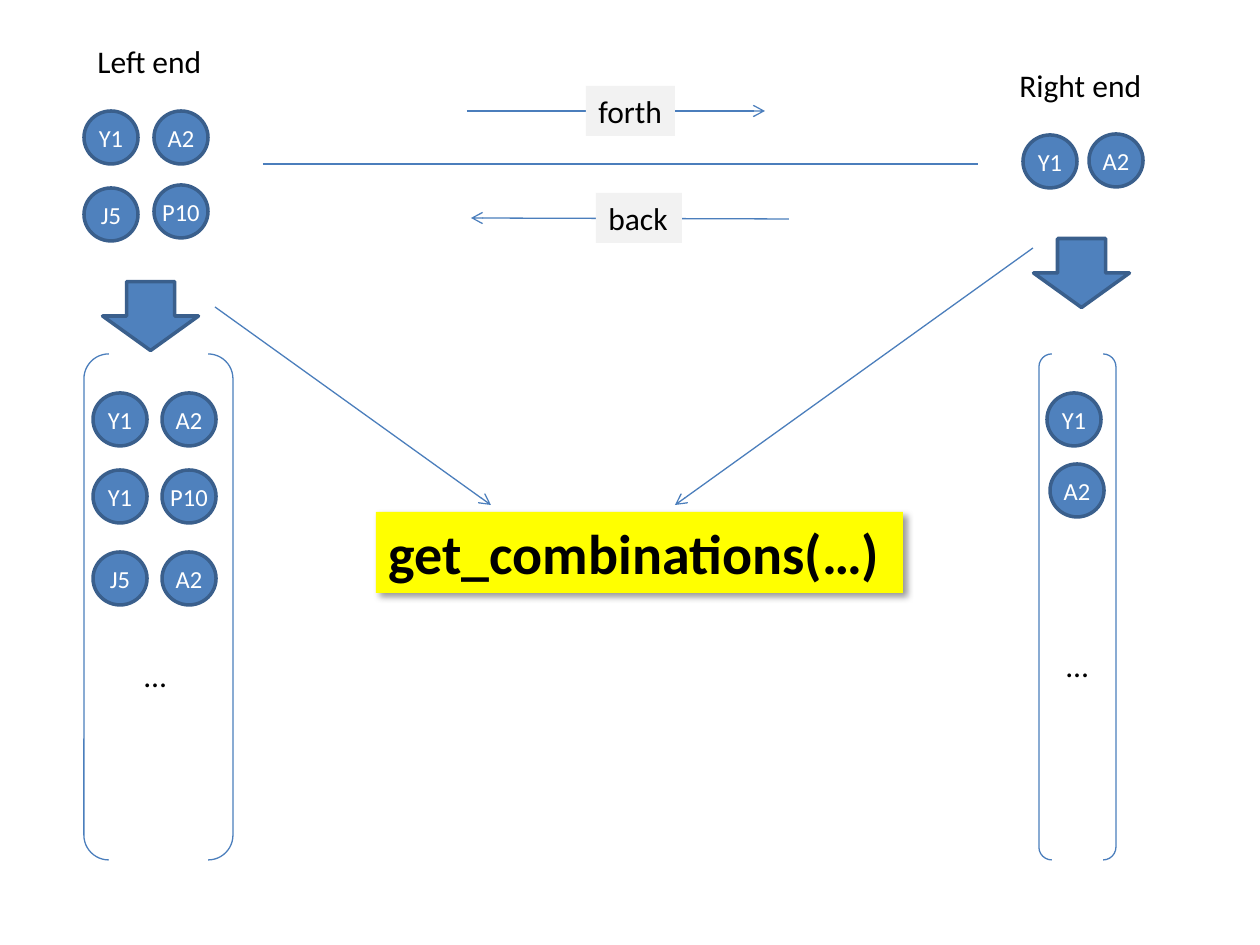
import pptx
import pptx.util
import pptx.dml.color
import pptx.enum.shapes
import pptx.enum.text
import pptx.oxml
import pptx.oxml.ns

SHAPE = pptx.enum.shapes.MSO_SHAPE
ALIGN = pptx.enum.text.PP_ALIGN
ANCHOR = pptx.enum.text.MSO_ANCHOR
FIT = pptx.enum.text.MSO_AUTO_SIZE

THEME = {
    "font": "Calibri",
    "token": "4F81BD", "edge": "3A5F8C", "line": "4B7EBC",
    "label": "F2F2F2", "call": "FFFF00", "ink": "000000", "light": "FFFFFF",
    "token_size": 14, "text_size": 18, "call_size": 32,
    "edge_width": 2, "line_width": 0.75,
}
PX_PER_INCH = 126
TOKEN_SIZE = (54, 53)
ARROW_SIZE = (69, 96)
BRACKET_TOP, BRACKET_HEIGHT = 354, 506

LEFT_END = [("Y1", 84, 111), ("J5", 84, 188), ("A2", 154, 111), ("P10", 154, 185)]
RIGHT_END = [("Y1", 1023, 135), ("A2", 1089, 134)]
RIGHT_LIST = [("Y1", 1047, 393), ("A2", 1050, 464)]
LEFT_PAIRS = [(393, ("Y1", "A2")), (470, ("Y1", "P10")), (552, ("J5", "A2"))]
LEFT_PAIR_COLUMNS = (93, 162)

DIVIDER = (263, 164, 978, 164)
TRAVEL = [(467, 111, 765, 111), (789, 219, 471, 218)]
CALL_ARROWS = [(215, 307, 491, 505), (1033, 248, 675, 505)]
LABELS = [("forth", 586, 86, 89, 50), ("back", 596, 193, 86, 50)]
TITLES = [("Left end", 85, 36, 131, 50), ("Right end", 1007, 60, 149, 50)]
CALL = ("get_combinations(…)", 376, 512, 527, 81)

SHADOW = (
    '<a:effectLst %s><a:outerShdw blurRad="50800" dist="38100" dir="2700000" '
    'algn="tl" rotWithShape="0"><a:srgbClr val="000000"><a:alpha val="40000"/>'
    '</a:srgbClr></a:outerShdw></a:effectLst>' % pptx.oxml.ns.nsdecls("a")
)


def px(value):
    return pptx.util.Emu(round(value * 914400 / PX_PER_INCH))


def color(name):
    return pptx.dml.color.RGBColor.from_string(THEME[name])


def write(box, text, size, ink="ink", bold=False):
    frame = box.text_frame
    frame.text = text
    frame.word_wrap = False
    font = frame.paragraphs[0].runs[0].font
    font.name = THEME["font"]
    font.size = pptx.util.Pt(THEME[size])
    font.bold = bold
    font.color.rgb = color(ink)


def add_box(shapes, kind, left, top, width, height, fill=None, edge=None, edge_width="edge_width"):
    box = shapes.add_shape(kind, px(left), px(top), px(width), px(height))
    box.shadow.inherit = False
    if fill:
        box.fill.solid()
        box.fill.fore_color.rgb = color(fill)
    else:
        box.fill.background()
    if edge:
        box.line.color.rgb = color(edge)
        box.line.width = pptx.util.Pt(THEME[edge_width])
    else:
        box.line.fill.background()
    return box


def add_token(shapes, text, left, top):
    token = add_box(shapes, SHAPE.OVAL, left, top, *TOKEN_SIZE, "token", "edge")
    write(token, text, "token_size", "light")
    token.text_frame.vertical_anchor = ANCHOR.MIDDLE
    token.text_frame.paragraphs[0].alignment = ALIGN.CENTER


def add_label(shapes, text, left, top, width, height, fill, size="text_size", bold=False):
    label = add_box(shapes, SHAPE.RECTANGLE, left, top, width, height, fill)
    write(label, text, size, bold=bold)
    label.text_frame.auto_size = FIT.SHAPE_TO_FIT_TEXT
    label.text_frame.vertical_anchor = ANCHOR.TOP
    label.text_frame.paragraphs[0].alignment = ALIGN.LEFT
    return label


def add_text(shapes, text, left, top, width, height):
    box = shapes.add_textbox(px(left), px(top), px(width), px(height))
    write(box, text, "text_size")
    box.text_frame.auto_size = FIT.SHAPE_TO_FIT_TEXT


def add_line(shapes, ends, arrow=True):
    line = shapes.add_connector(
        pptx.enum.shapes.MSO_CONNECTOR.STRAIGHT, *(px(end) for end in ends))
    line.line.color.rgb = color("line")
    line.line.width = pptx.util.Pt(THEME["line_width"])
    if arrow:
        head = pptx.oxml.parse_xml('<a:tailEnd %s type="arrow"/>' % pptx.oxml.ns.nsdecls("a"))
        line.line._get_or_add_ln().append(head)
    effects = pptx.oxml.parse_xml("<a:effectLst %s/>" % pptx.oxml.ns.nsdecls("a"))
    line._element.spPr.append(effects)


def add_down_arrow(shapes, left, top):
    arrow = add_box(shapes, SHAPE.RIGHT_ARROW, left, top, *ARROW_SIZE, "token", "edge")
    arrow.rotation = 90


def add_brackets(shapes, left, width):
    add_box(shapes, SHAPE.DOUBLE_BRACKET, left, BRACKET_TOP, width, BRACKET_HEIGHT,
            edge="line", edge_width="line_width")


def main():
    deck = pptx.Presentation()
    deck.slide_width, deck.slide_height = px(1260), px(945)
    page = deck.slides.add_slide(deck.slide_layouts[6])
    shapes = page.shapes

    add_line(shapes, DIVIDER, arrow=False)
    for token in LEFT_END + RIGHT_END:
        add_token(shapes, *token)
    for ends in TRAVEL:
        add_line(shapes, ends)
    for label in LABELS:
        add_label(shapes, *label, "label")
    for title in TITLES:
        add_text(shapes, *title)
    call = add_label(shapes, *CALL, "call", "call_size", True)
    effects = call._element.spPr.find(pptx.oxml.ns.qn("a:effectLst"))
    effects.getparent().replace(effects, pptx.oxml.parse_xml(SHADOW))

    add_down_arrow(shapes, 1047, 225)
    for token in RIGHT_LIST:
        add_token(shapes, *token)
    add_brackets(shapes, 1039, 77)
    add_text(shapes, "…", 1054, 640, 48, 50)

    left_list = shapes.add_group_shape().shapes
    for top, pair in LEFT_PAIRS:
        for left, name in zip(LEFT_PAIR_COLUMNS, pair):
            add_token(left_list, name, left, top)
    add_brackets(left_list, 84, 149)
    add_text(left_list, "…", 132, 650, 48, 50)
    add_down_arrow(left_list, 116, 268)

    for ends in CALL_ARROWS:
        add_line(shapes, ends)
    deck.save("out.pptx")


if __name__ == "__main__":
    main()
